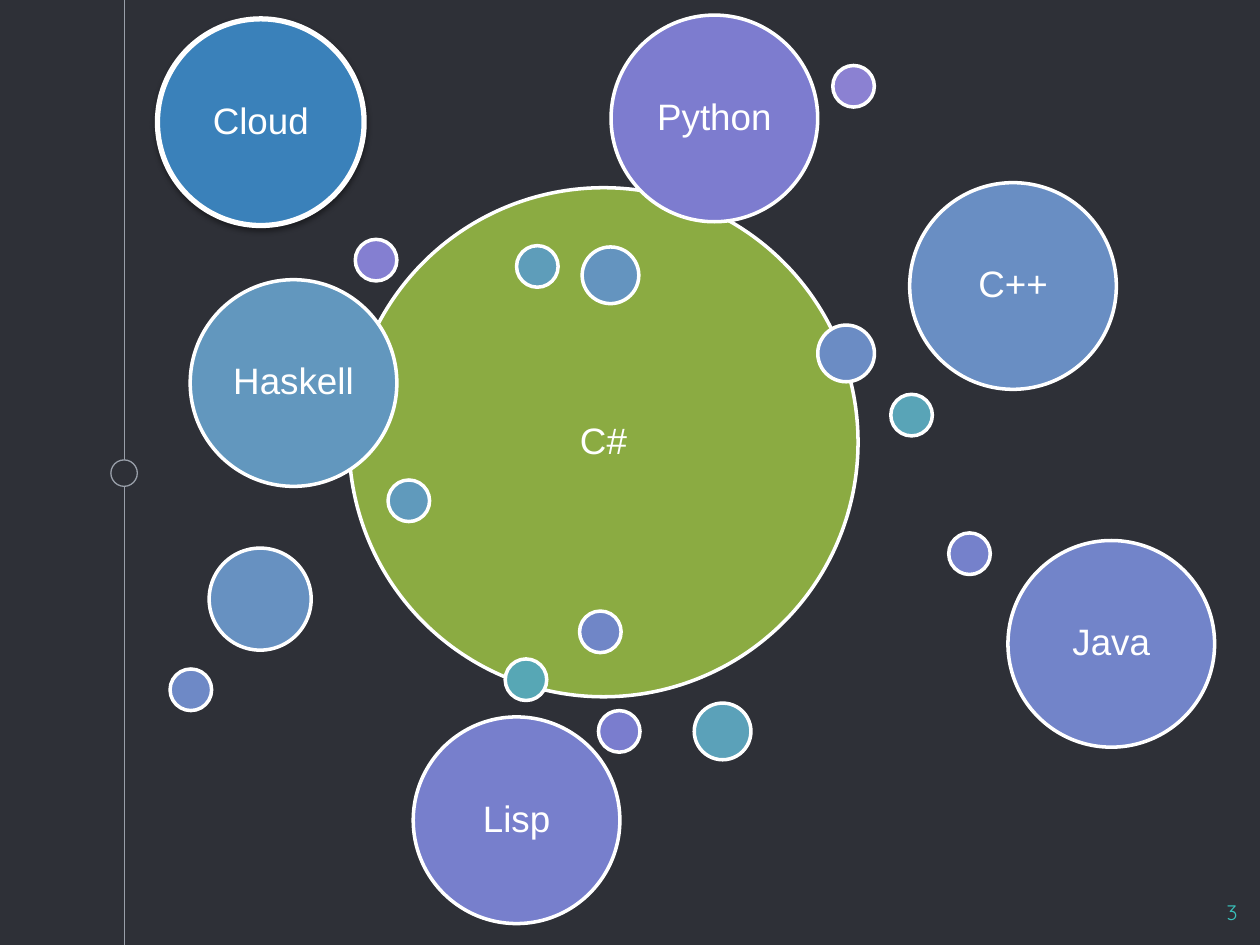
from lxml.etree import SubElement
from pptx import Presentation
from pptx.dml.color import RGBColor
from pptx.enum.shapes import MSO_CONNECTOR, MSO_SHAPE
from pptx.enum.text import MSO_ANCHOR, PP_ALIGN
from pptx.oxml.ns import qn
from pptx.util import Inches, Pt

BACKGROUND, RAIL, WHITE, TEAL = "2E3037", "999FA9", "FFFFFF", "39C0BA"
HUGE, LARGE, MEDIUM, SMALL, TINY = 4.04, 1.64, 0.81, 0.45, 0.33

BUBBLES = [
    (2.77, 1.49, HUGE, "8BAB42", "C#"),
    (4.01, 5.23, TINY, "57A7B5", ""),
    (7.07, 3.13, TINY, "59A4B7", ""),
    (5.51, 5.58, SMALL, "5BA1B9", ""),
    (4.10, 1.95, TINY, "5E9DBA", ""),
    (3.08, 3.81, TINY, "609ABC", ""),
    (1.51, 2.22, LARGE, "6297BE", "Haskell"),
    (4.62, 1.96, SMALL, "6494BF", ""),
    (1.66, 4.35, MEDIUM, "6791C1", ""),
    (7.22, 1.45, LARGE, "698EC3", "C++"),
    (6.49, 2.58, SMALL, "6B8CC4", ""),
    (1.35, 5.31, TINY, "6E89C6", ""),
    (4.60, 4.85, TINY, "7086C7", ""),
    (8.00, 4.29, LARGE, "7284C9", "Java"),
    (7.53, 4.23, TINY, "7581CB", ""),
    (3.28, 5.69, LARGE, "777FCC", "Lisp"),
    (4.75, 5.64, TINY, "7A7DCE", ""),
    (4.85, 0.12, LARGE, "7D7CCF", "Python"),
    (2.82, 1.90, TINY, "847FD1", ""),
    (6.61, 0.52, TINY, "8B81D2", ""),
]


def color(value):
    return RGBColor.from_string(value)


class BubbleSlide:
    """Draws styled elements on one slide."""

    def __init__(self, presentation):
        self.slide = presentation.slides.add_slide(presentation.slide_layouts[6])
        fill = self.slide.background.fill
        fill.solid()
        fill.fore_color.rgb = color(BACKGROUND)

    def add_text(self, shape, text, font, size, text_color, alignment):
        paragraph = shape.text_frame.paragraphs[0]
        paragraph.alignment = alignment
        run = paragraph.add_run()
        run.text = text
        run.font.name = font
        run.font.size = Pt(size)
        run.font.color.rgb = color(text_color)
        return paragraph

    def line(self, x, top, bottom):
        connector = self.slide.shapes.add_connector(
            MSO_CONNECTOR.STRAIGHT, Inches(x), Inches(top), Inches(x), Inches(bottom))
        connector.line.color.rgb = color(RAIL)
        connector.line.width = Pt(0.75)
        SubElement(connector._element.spPr, qn("a:effectLst"))

    def circle(self, left, top, size, fill, text="", outline=WHITE, width=2):
        shape = self.slide.shapes.add_shape(
            MSO_SHAPE.OVAL, Inches(left), Inches(top), Inches(size), Inches(size))
        shape.shadow.inherit = False
        shape.fill.solid()
        shape.fill.fore_color.rgb = color(fill)
        shape.line.color.rgb = color(outline)
        shape.line.width = Pt(width)
        if text:
            frame = shape.text_frame
            frame.margin_left = frame.margin_right = Inches(0)
            frame.margin_top = frame.margin_bottom = Inches(0)
            frame.vertical_anchor = MSO_ANCHOR.MIDDLE
            frame.word_wrap = False
            paragraph = self.add_text(shape, text, "Arial", 21, WHITE, PP_ALIGN.CENTER)
            paragraph.line_spacing = 0.9
        return shape

    def shadow(self, shape, blur, distance, opacity):
        effects = shape._element.spPr.find(qn("a:effectLst"))
        shadow = SubElement(effects, qn("a:outerShdw"), blurRad=str(Pt(blur)),
                            dist=str(Pt(distance)), dir="5400000", rotWithShape="0")
        black = SubElement(shadow, qn("a:srgbClr"), val="000000")
        SubElement(black, qn("a:alpha"), val=str(opacity * 1000))

    def page_number(self, text, left, top, width, height):
        box = self.slide.shapes.add_textbox(
            Inches(left), Inches(top), Inches(width), Inches(height))
        frame = box.text_frame
        frame.word_wrap = True
        frame.margin_left = frame.margin_right = Inches(0.1)
        frame.margin_top = frame.margin_bottom = Inches(0.1)
        self.add_text(box, text, "Quicksand", 12, TEAL, PP_ALIGN.RIGHT)


presentation = Presentation()
presentation.slide_width = Inches(10)
presentation.slide_height = Inches(7.5)

languages = BubbleSlide(presentation)
languages.line(0.99, -0.01, 7.5)
languages.circle(0.88, 3.65, 0.21, BACKGROUND, outline=RAIL, width=0.75)
languages.page_number("3", 9.32, 7.04, 0.6, 0.46)
for bubble in BUBBLES:
    languages.circle(*bubble)
platform = languages.circle(1.25, 0.15, LARGE, "3A81BA", "Cloud", width=3)
languages.shadow(platform, blur=3.1, distance=1.6, opacity=38)

presentation.save("out.pptx")
